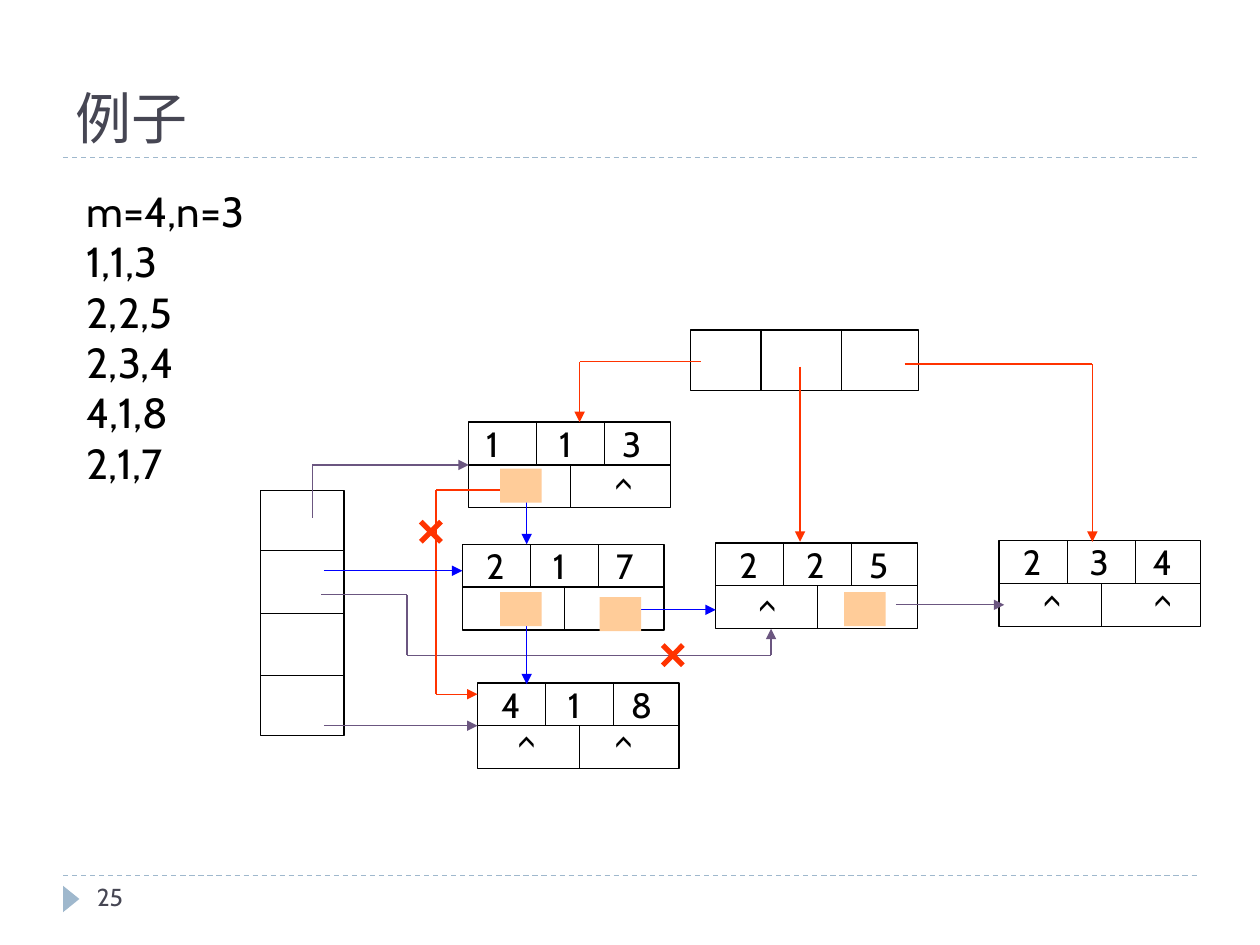
from pptx import Presentation
from pptx.dml.color import RGBColor
from pptx.enum import dml, shapes, text
from pptx.oxml import ns
from pptx.util import Inches, Pt
from lxml import etree

BLACK, SLATE, PALE = "000000", "464653", "9FB8CD"
RED, BLUE, PLUM, PEACH = "FF3300", "0000FF", "6B5680", "FFCC99"
LATIN, HAN = "Cabin", "Noto Sans CJK SC"


def color(code):
    return RGBColor.from_string(code)


def add(parent, tag, **attrs):
    return etree.SubElement(parent, ns.qn(tag), attrs)


def place(shape, box):
    shape.left, shape.top, shape.width, shape.height = map(Inches, box)


def write(shape, lines, size, code=BLACK, face=LATIN,
          anchor=text.MSO_ANCHOR.TOP, wrap=False):
    frame = shape.text_frame
    frame.text = "\n".join(lines)
    frame.word_wrap = wrap
    frame.auto_size = text.MSO_AUTO_SIZE.NONE
    frame.vertical_anchor = anchor
    for para in frame.paragraphs:
        para.alignment = text.PP_ALIGN.LEFT
        para.space_before = Pt(0)
        # Runs repeat the paragraph font for viewers that skip its defaults
        for font in (para.font, *(run.font for run in para.runs)):
            font.name, font.size = face, Pt(size)
            font.color.rgb = color(code)
        for run in para.runs:
            add(run.font._element, "a:ea", typeface=face)


def label(slide, words, box, size, code=BLACK, anchor=text.MSO_ANCHOR.MIDDLE):
    write(slide.shapes.add_textbox(*map(Inches, box)), [words], size, code,
          anchor=anchor)


def block(slide, box, fill=None, edge=None, kind=shapes.MSO_SHAPE.RECTANGLE):
    shape = slide.shapes.add_shape(kind, *map(Inches, box))
    shape.shadow.inherit = False
    if fill:
        shape.fill.solid()
        shape.fill.fore_color.rgb = color(fill)
    else:
        shape.fill.background()
    if edge:
        shape.line.color.rgb = color(edge)
        shape.line.width = Pt(0.75)
    else:
        shape.line.fill.background()
    return shape


def line(slide, start, end, code=BLACK, width=0.75):
    link = slide.shapes.add_connector(
        shapes.MSO_CONNECTOR.STRAIGHT, *map(Inches, (*start, *end)))
    link.line.color.rgb = color(code)
    link.line.width = Pt(width)
    add(link._element.spPr, "a:effectLst")
    return link


def route(slide, code, *points, goal=None):
    """Straight legs through the points, with an arrowhead on the last."""
    for start, end in zip(points, points[1:]):
        link = line(slide, start, end, code)
    add(link.line._get_or_add_ln(), "a:tailEnd", type="triangle")
    if goal:
        link.end_connect(goal, 1)


def cross(slide, x, y):
    for rise in (-0.08, 0.08):
        line(slide, (x - 0.08, y - rise), (x + 0.08, y + rise), RED, 3)


def heads(slide, box, cuts, down):
    """Head array, cut at the given offsets from its start."""
    x, y, wide, high = box
    block(slide, box, edge=BLACK)
    for cut in cuts:
        if down:
            line(slide, (x, y + cut), (x + wide, y + cut))
        else:
            line(slide, (x + cut, y), (x + cut, y + high))


def node(slide, x, y, digits, nulls=(), drop=0.33, first=0.09):
    """List node: row, column and value above two link fields."""
    wide, high, mid = 1.6, 0.68, 0.34
    for digit, dx in zip(digits, (first, 0.62, 1.12)):
        label(slide, digit, (x + dx, y - 0.05, 0.36, 0.44), 20)
    card = block(slide, (x, y, wide, high), edge=BLACK)
    line(slide, (x, y + mid), (x + wide, y + mid))
    line(slide, (x + 0.81, y + mid), (x + 0.81, y + high))
    for dx in (0.54, 1.08):
        line(slide, (x + dx, y), (x + dx, y + mid))
    for dx in nulls:
        label(slide, "^", (x + dx, y + drop, 0.36, 0.44), 20)
    return card


def frame(slide, left, right):
    # Rules, page marker and page number
    for y in (1.25, 6.95):
        rule = line(slide, (left, y), (right, y), PALE)
        rule.line.dash_style = dml.MSO_LINE.DASH
    mark = block(slide, (0.46, 7.07, 0.21, 0.13), PALE,
                 kind=shapes.MSO_SHAPE.ISOSCELES_TRIANGLE)
    mark.rotation = 90
    label(slide, "25", (0.67, 6.95, 2.17, 0.4), 14, SLATE,
          text.MSO_ANCHOR.TOP)


def words(slide, head, body):
    # Title and list of entries
    title, items = slide.placeholders
    place(title, head)
    write(title, ["例子"], 32, SLATE, HAN, text.MSO_ANCHOR.BOTTOM, True)
    place(items, body)
    write(items, ["m=4,n=3", "1,1,3", "2,2,5", "2,3,4", "4,1,8", "2,1,7"], 24)
    for para in items.text_frame.paragraphs:
        props = para._p.get_or_add_pPr()
        props.set("marL", "0")
        props.set("indent", "0")
        props.insert_element_before(
            etree.Element(ns.qn("a:buNone")), "a:tabLst", "a:defRPr")


def graph(slide):
    # Row and column heads
    heads(slide, (2.07, 3.89, 0.66, 1.95), (0.48, 0.98, 1.47), True)
    heads(slide, (5.48, 2.62, 1.81, 0.48), (0.56, 1.2), False)

    # Nodes
    top = node(slide, 3.72, 3.35, "113", [1.06], first=0.04)
    node(slide, 3.67, 4.32, "217")
    node(slide, 5.68, 4.31, "225", [0.24], drop=0.34)
    node(slide, 7.93, 4.29, "234", [0.25, 1.13], drop=0.32)
    low = node(slide, 3.79, 5.42, "418", [0.22, 0.99], drop=0.31)

    # Row links
    route(slide, PLUM, (2.48, 4.11), (2.48, 3.69), (3.72, 3.69), goal=top)
    route(slide, PLUM, (2.57, 5.76), (3.79, 5.76), goal=low)
    route(slide, PLUM, (2.55, 4.72), (3.23, 4.72), (3.23, 5.2),
          (6.12, 5.2), (6.12, 4.99))
    route(slide, PLUM, (7.11, 4.8), (7.97, 4.8))

    # Column links
    route(slide, RED, (5.56, 2.87), (4.6, 2.87), (4.6, 3.35))
    route(slide, RED, (6.35, 2.91), (6.35, 4.3))
    route(slide, RED, (7.18, 2.89), (8.67, 2.89), (8.67, 4.3))
    route(slide, RED, (4, 3.89), (3.46, 3.89), (3.46, 5.51), (3.79, 5.51))

    # Links made by the new node, and the links they replace
    route(slide, BLUE, (2.57, 4.53), (3.67, 4.53))
    route(slide, BLUE, (4.18, 3.85), (4.18, 4.32))
    route(slide, BLUE, (4.18, 4.86), (4.18, 5.43))
    route(slide, BLUE, (5.02, 4.84), (5.68, 4.84))
    cross(slide, 5.34, 5.2)
    cross(slide, 3.42, 4.22)

    # Filled link fields
    for x, y in ((6.7, 4.7), (3.97, 4.7), (3.97, 3.72), (4.76, 4.74)):
        block(slide, (x, y, 0.33, 0.27), PEACH)


def main():
    deck = Presentation()
    deck.slide_width, deck.slide_height = Inches(10), Inches(7.5)
    slide = deck.slides.add_slide(deck.slide_layouts[1])
    frame(slide, 0.5, 9.5)
    words(slide, (0.5, 0.17, 9, 1.08), (0.59, 1.42, 1.57, 2.5))
    graph(slide)
    deck.save("out.pptx")


if __name__ == "__main__":
    main()
